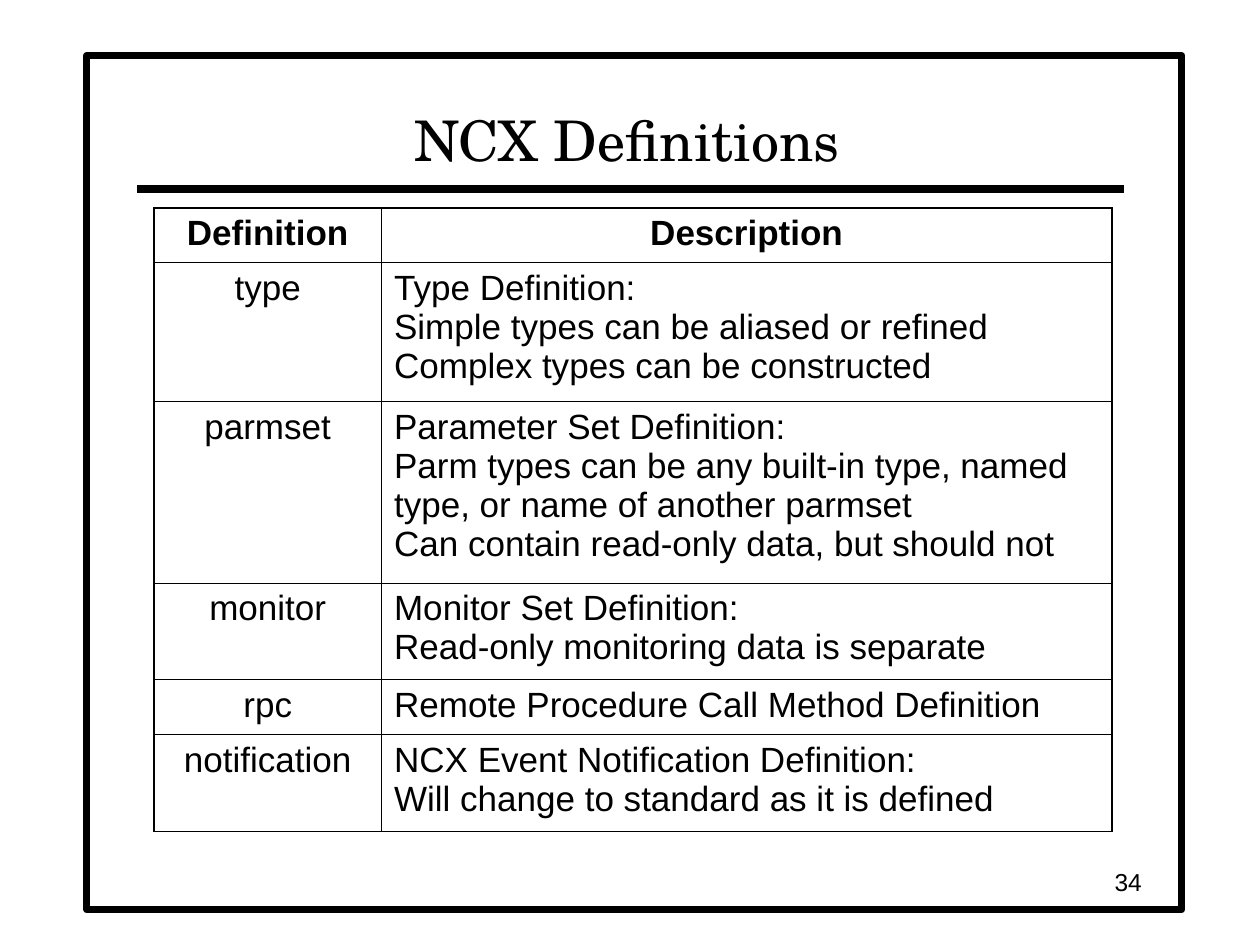
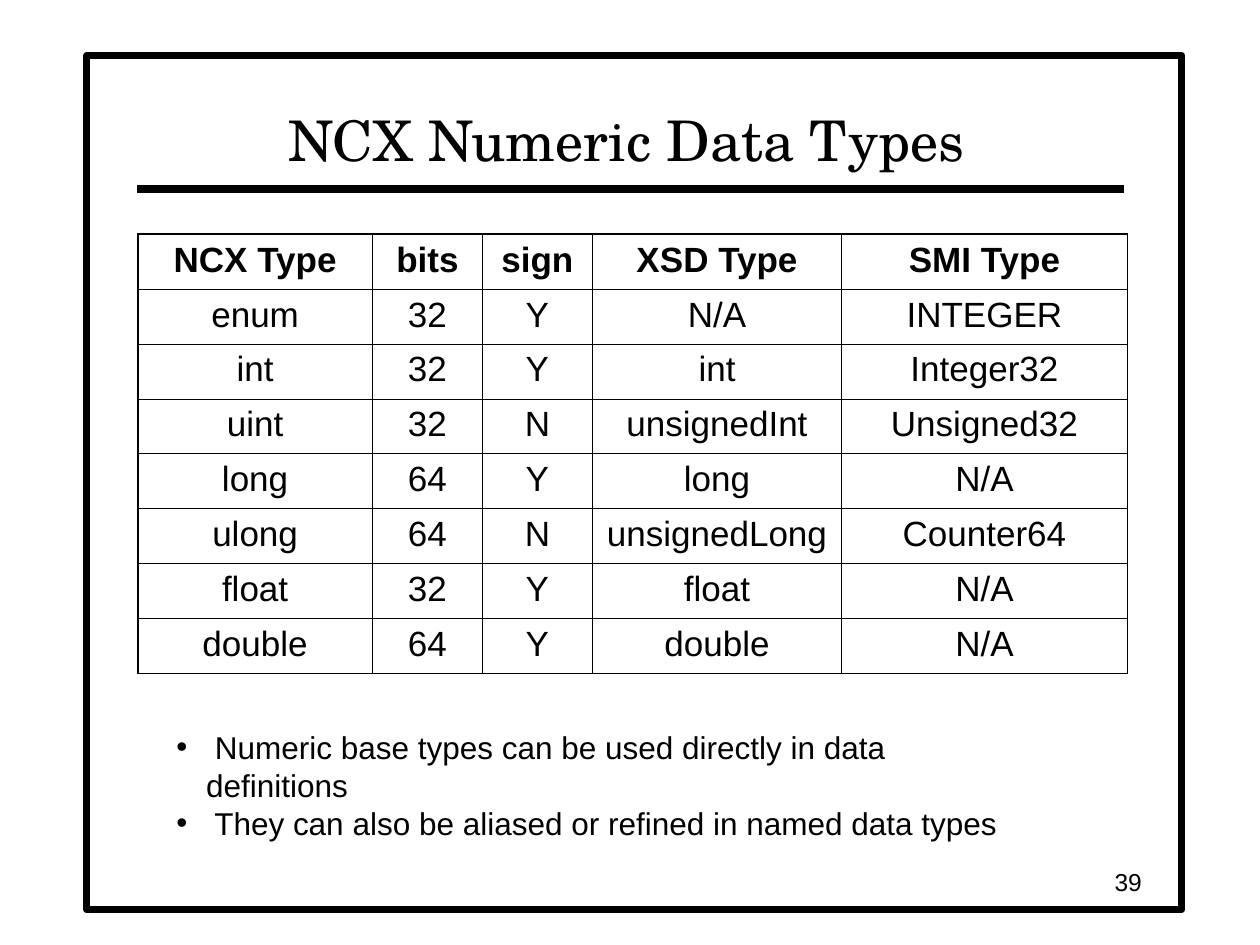
from lxml.etree import SubElement
from pptx import Presentation
from pptx.dml.color import RGBColor
from pptx.enum.shapes import MSO_CONNECTOR as Connector, MSO_SHAPE as Shape
from pptx.enum.text import MSO_ANCHOR as Anchor, MSO_AUTO_SIZE as AutoSize, PP_ALIGN as Align
from pptx.oxml.ns import qn
from pptx.util import Pt

BLACK = "000000"
WHITE = "FFFFFF"
BODY_FONT = "Arial"
TITLE_FONT = "TeX Gyre Schola"
OUTER_BORDER = 1.08
INNER_BORDER = 0.45
ROW_HEIGHT = 31.4

DEFINITIONS = [
    ("Definition", "Description"),
    ("type", "Type Definition:\nSimple types can be aliased or refined\n"
             "Complex types can be constructed"),
    ("parmset", "Parameter Set Definition:\n"
                "Parm types can be any built-in type, named type, or name of another parmset\n"
                "Can contain read-only data, but should not"),
    ("monitor", "Monitor Set Definition:\nRead-only monitoring data is separate"),
    ("rpc", "Remote Procedure Call Method Definition"),
    ("notification", "NCX Event Notification Definition:\n"
                     "Will change to standard as it is defined"),
]
NUMERIC_TYPES = [
    ("NCX Type", "bits", "sign", "XSD Type", "SMI Type"),
    ("enum", "32", "Y", "N/A", "INTEGER"),
    ("int", "32", "Y", "int", "Integer32"),
    ("uint", "32", "N", "unsignedInt", "Unsigned32"),
    ("long", "64", "Y", "long", "N/A"),
    ("ulong", "64", "N", "unsignedLong", "Counter64"),
    ("float", "32", "Y", "float", "N/A"),
    ("double", "64", "Y", "double", "N/A"),
]
USAGE_NOTES = [
    " Numeric base types can be used directly in data definitions",
    " They can also be aliased or refined in named data types",
]


def color(hex_code):
    return RGBColor.from_string(hex_code)


def write(paragraph, text, size=20, font=BODY_FONT, bold=False, align=Align.LEFT):
    paragraph.text = text
    paragraph.alignment = align
    paragraph.space_before = Pt(0)
    for run in paragraph.runs:
        run.font.size = Pt(size)
        run.font.name = font
        run.font.bold = bold
        run.font.color.rgb = color(BLACK)


def place(shape, left, top, width, height):
    shape.left, shape.top = Pt(left), Pt(top)
    shape.width, shape.height = Pt(width), Pt(height)


def set_up_frame(text_frame, anchor):
    text_frame.word_wrap = True
    text_frame.auto_size = AutoSize.NONE
    text_frame.vertical_anchor = anchor


def add_master_frame(prs, slide):
    frame = slide.shapes.add_shape(Shape.RECTANGLE, Pt(49.7), Pt(31.7), Pt(625.7), Pt(488.2))
    frame.shadow.inherit = False
    frame.fill.solid()
    frame.fill.fore_color.rgb = color(WHITE)
    rule = slide.shapes.add_connector(Connector.STRAIGHT, Pt(78.5), Pt(108), Pt(642.2), Pt(108))
    SubElement(rule.element.spPr, qn("a:effectLst"))
    master_tree = prs.slide_master.element.cSld.spTree
    for number, (part, weight) in enumerate([(frame, 4), (rule, 4.5)]):
        part.line.color.rgb = color(BLACK)
        part.line.width = Pt(weight)
        part.element.xpath(".//p:cNvPr")[0].set("id", str(100 + number))
        master_tree.insert(2 + number, part.element)


def add_heading(slide, text):
    title = slide.shapes.title
    place(title, 77.8, 36, 560.9, 66.2)
    set_up_frame(title.text_frame, Anchor.BOTTOM)
    write(title.text_frame.paragraphs[0], text, size=32, font=TITLE_FONT, align=Align.CENTER)


def add_page_number(slide, number):
    box = slide.shapes.add_textbox(Pt(509.8), Pt(491.8), Pt(149.8), Pt(23.8))
    set_up_frame(box.text_frame, Anchor.MIDDLE)
    write(box.text_frame.paragraphs[0], str(number), size=14, align=Align.RIGHT)


def set_borders(cell, weights):
    properties = cell._tc.get_or_add_tcPr()
    for position, (side, weight) in enumerate(weights.items()):
        border = SubElement(properties, qn(f"a:ln{side}"), w=str(Pt(weight)))
        fill = SubElement(border, qn("a:solidFill"))
        SubElement(fill, qn("a:srgbClr"), val=BLACK)
        properties.insert(position, border)


def add_grid(slide, rows, left, top, widths, heights, left_columns=()):
    grid = slide.shapes.add_table(len(rows), len(widths), Pt(left), Pt(top),
                                  Pt(sum(widths)), Pt(sum(heights))).table
    grid.first_row = grid.horz_banding = False
    for column, width in zip(grid.columns, widths):
        column.width = Pt(width)
    for row, height in zip(grid.rows, heights):
        row.height = Pt(height)
    last_row, last_column = len(rows) - 1, len(widths) - 1
    for r, row in enumerate(rows):
        for c, text in enumerate(row):
            cell = grid.cell(r, c)
            cell.fill.solid()
            cell.fill.fore_color.rgb = color(WHITE)
            is_left = r > 0 and c in left_columns
            write(cell.text_frame.paragraphs[0], text, bold=r == 0,
                  align=Align.LEFT if is_left else Align.CENTER)
            outer_sides = {"L": c == 0, "R": c == last_column, "T": r == 0, "B": r == last_row}
            set_borders(cell, {side: OUTER_BORDER if outer else INNER_BORDER
                               for side, outer in outer_sides.items()})


def add_bullets(slide, items):
    body = slide.placeholders[1]
    place(body, 93.6, 412.5, 494.6, 70)
    set_up_frame(body.text_frame, Anchor.TOP)
    for index, item in enumerate(items):
        paragraph = body.text_frame.paragraphs[0] if index == 0 else body.text_frame.add_paragraph()
        write(paragraph, item, size=18)
        properties = paragraph._p.get_or_add_pPr()
        properties.set("marL", str(Pt(17)))
        properties.set("indent", str(-Pt(17)))
        bullet_color = SubElement(properties, qn("a:buClr"))
        SubElement(bullet_color, qn("a:srgbClr"), val=BLACK)
        SubElement(properties, qn("a:buFont"), typeface=BODY_FONT)
        SubElement(properties, qn("a:buChar"), char="•")


def add_page(prs, layout_index, heading, number):
    slide = prs.slides.add_slide(prs.slide_layouts[layout_index])
    add_heading(slide, heading)
    add_page_number(slide, number)
    return slide


def main():
    prs = Presentation()
    prs.slide_width, prs.slide_height = Pt(720), Pt(540)

    definitions = add_page(prs, 5, "NCX Definitions", 34)
    add_master_frame(prs, definitions)
    add_grid(definitions, DEFINITIONS, 88, 118.8, [130, 417.4],
             [ROW_HEIGHT, 79.4, 103.5, 55.4, ROW_HEIGHT, 55.4], left_columns=(1,))

    numeric_types = add_page(prs, 1, "NCX Numeric Data Types", 39)
    add_grid(numeric_types, NUMERIC_TYPES, 78.8, 133.8, [134, 62.9, 62.9, 142.4, 163.3],
             [ROW_HEIGHT] * len(NUMERIC_TYPES))
    add_bullets(numeric_types, USAGE_NOTES)

    prs.save("out.pptx")


if __name__ == "__main__":
    main()
